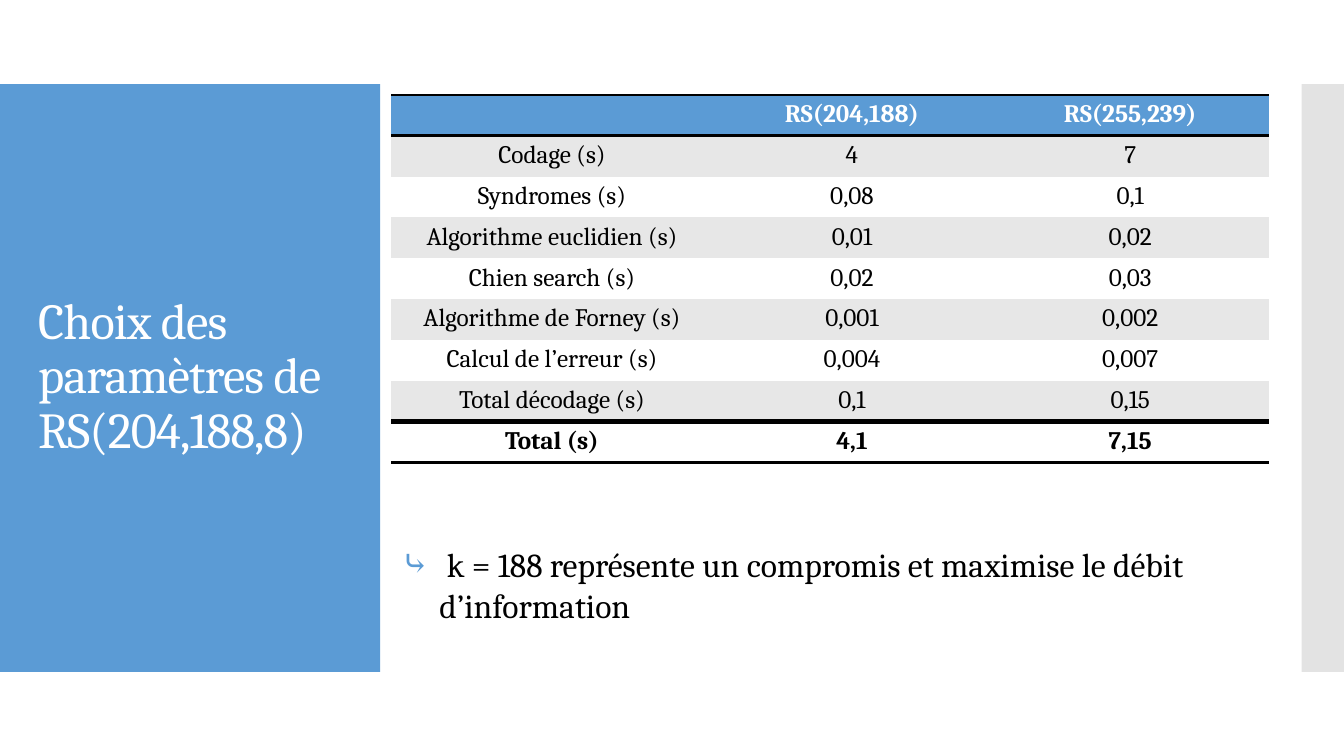
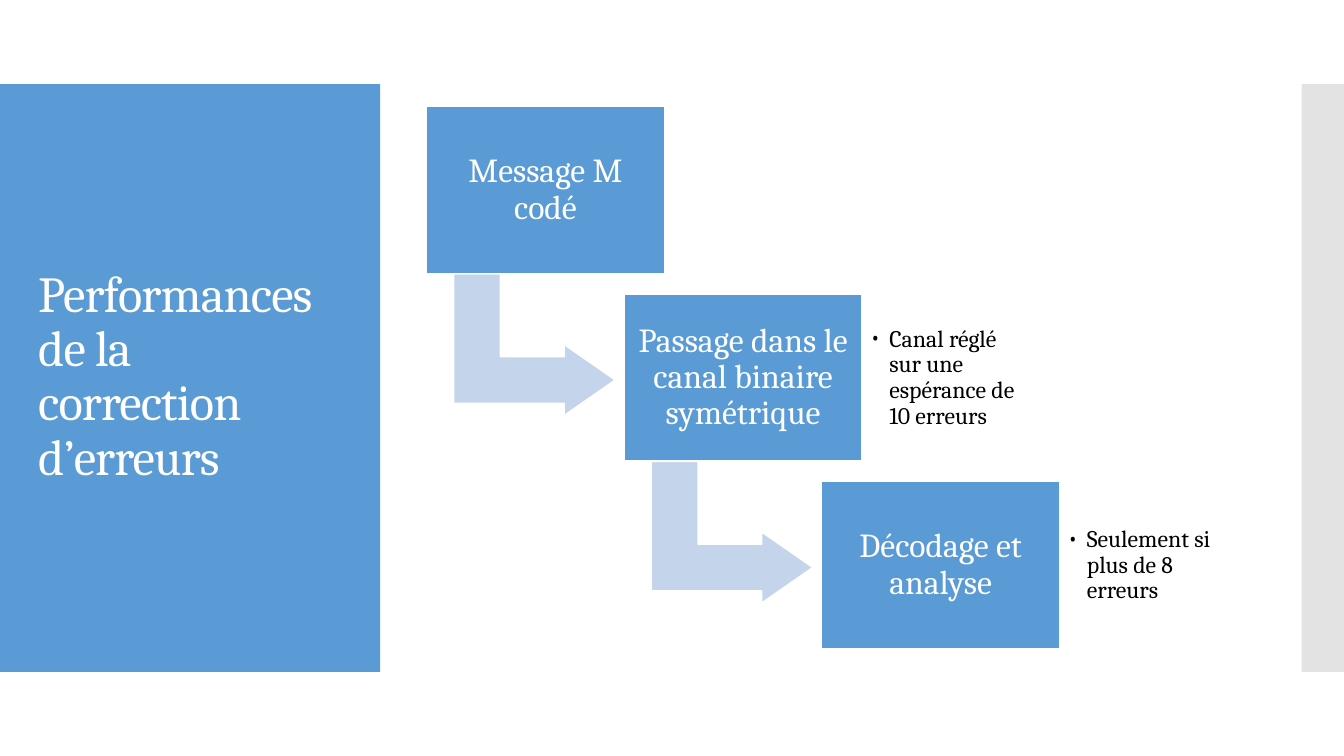
from dataclasses import dataclass
from lxml import etree
from pptx import Presentation
from pptx.dml.color import RGBColor
from pptx.enum.shapes import MSO_SHAPE
from pptx.enum.text import MSO_ANCHOR, PP_ALIGN
from pptx.oxml.ns import qn
from pptx.util import Inches, Pt

RECTANGLE = MSO_SHAPE.RECTANGLE
BENT_ARROW = MSO_SHAPE.BENT_UP_ARROW
MIDDLE, TOP = MSO_ANCHOR.MIDDLE, MSO_ANCHOR.TOP
LEFT, CENTER = PP_ALIGN.LEFT, PP_ALIGN.CENTER


@dataclass(frozen=True)
class Theme:
    font: str = "Cambria"
    blue: str = "5B9BD5"
    pale_blue: str = "C4D5EB"
    side_grey: str = "C8C8C8"
    row_grey: str = "E7E7E7"
    white: str = "FFFFFF"
    black: str = "000000"
    title_size: int = 36
    body_size: int = 24
    table_size: int = 18
    note_size: int = 17
    outline: float = 0.85


theme = Theme()
WIDTH, HEIGHT = 13.33, 7.5
BAND_TOP, BAND_HEIGHT = HEIGHT / 9, HEIGHT * 7 / 9
PANEL_WIDTH, SIDE_WIDTH = 3.77, 0.42
CONTENT_LEFT = 3.88


def add_block(slide, kind, box, color, outline=None):
    shape = slide.shapes.add_shape(kind, *map(Inches, box))
    shape.shadow.inherit = False
    shape.fill.solid()
    shape.fill.fore_color.rgb = RGBColor.from_string(color)
    if outline:
        shape.line.color.rgb = RGBColor.from_string(outline)
        shape.line.width = Pt(theme.outline)
    else:
        shape.line.fill.background()
    return shape


def write(holder, text, size, color, align=LEFT, anchor=None, spacing=1.0,
          margin=None, bullet=None, bullet_color=None, indent=0):
    frame = holder.text_frame
    frame.text = text
    if anchor is not None:
        frame.word_wrap = True
        frame.vertical_anchor = anchor
    if margin is not None:
        frame.margin_left = frame.margin_right = Inches(margin)
        frame.margin_top = frame.margin_bottom = Inches(margin)
    paragraph = frame.paragraphs[0]
    paragraph.alignment = align
    paragraph.line_spacing = spacing
    font = paragraph.runs[0].font if paragraph.runs else paragraph.font
    font.name, font.size = theme.font, Pt(size)
    font.color.rgb = RGBColor.from_string(color)
    if bullet:
        properties = paragraph._p.get_or_add_pPr()
        properties.set("marL", str(Inches(indent)))
        properties.set("indent", str(-Inches(indent)))
        marker_color = etree.SubElement(properties, qn("a:buClr"))
        etree.SubElement(marker_color, qn("a:srgbClr"), val=bullet_color or color)
        etree.SubElement(properties, qn("a:buFont"), typeface=theme.font)
        etree.SubElement(properties, qn("a:buChar"), char=bullet)
    return font


presentation = Presentation()
presentation.slide_width = Inches(WIDTH)
presentation.slide_height = Inches(HEIGHT)

titles = ["Choix des paramètres de RS(204,188,8)",
          "Performances de la correction d’erreurs"]
slides = []
for title in titles:
    slide = presentation.slides.add_slide(presentation.slide_layouts[6])
    add_block(slide, RECTANGLE, (0, BAND_TOP, PANEL_WIDTH, BAND_HEIGHT), theme.blue)
    side = add_block(slide, RECTANGLE,
                     (WIDTH - SIDE_WIDTH, BAND_TOP, SIDE_WIDTH, BAND_HEIGHT),
                     theme.side_grey)
    side_color = side._element.spPr.find(qn("a:solidFill"))[0]
    etree.SubElement(side_color, qn("a:alpha"), val="50000")
    title_box = slide.shapes.add_textbox(*map(Inches, (0.28, 1.23, 3.22, 5.03)))
    title_font = write(title_box, title, theme.title_size, theme.white,
                       anchor=MIDDLE, spacing=0.9)
    title_font._element.set("spc", "-60")
    slides.append(slide)
timing_slide, process_slide = slides

timings = [
    ("", "RS(204,188)", "RS(255,239)"),
    ("Codage (s)", "4", "7"),
    ("Syndromes (s)", "0,08", "0,1"),
    ("Algorithme euclidien (s)", "0,01", "0,02"),
    ("Chien search (s)", "0,02", "0,03"),
    ("Algorithme de Forney (s)", "0,001", "0,002"),
    ("Calcul de l’erreur (s)", "0,004", "0,007"),
    ("Total décodage (s)", "0,1", "0,15"),
    ("Total (s)", "4,1", "7,15"),
]
column_widths = [3.19, 2.76, 2.76]
table_height = 3.65
last_row = len(timings) - 1
row_borders = {0: {"a:lnT": 2, "a:lnB": 2}, last_row: {"a:lnT": 4, "a:lnB": 2}}
table_frame = timing_slide.shapes.add_table(
    len(timings), len(column_widths), Inches(CONTENT_LEFT), Inches(0.94),
    Inches(sum(column_widths)), Inches(table_height))
table = table_frame.table
table.first_row = table.horz_banding = False
style = next(table_frame._element.iter(qn("a:tableStyleId")))
style.text = "{2D5ABB26-0587-4C30-8999-92F81FD0307C}"
for column, width in zip(table.columns, column_widths):
    column.width = Inches(width)
for row_index, values in enumerate(timings):
    table.rows[row_index].height = Inches(table_height / len(timings))
    header = row_index == 0
    fill = theme.blue if header else theme.row_grey if row_index % 2 else theme.white
    for column_index, value in enumerate(values):
        cell = table.cell(row_index, column_index)
        font = write(cell, value, theme.table_size,
                     theme.white if header else theme.black, CENTER)
        font.bold = row_index in row_borders
        cell.fill.solid()
        cell.fill.fore_color.rgb = RGBColor.from_string(fill)
        borders = row_borders.get(row_index, {})
        for position, (edge, points) in enumerate(borders.items()):
            line = etree.Element(qn(edge), w=str(Pt(points)))
            line_fill = etree.SubElement(line, qn("a:solidFill"))
            etree.SubElement(line_fill, qn("a:srgbClr"), val=theme.black)
            cell._tc.get_or_add_tcPr().insert(position, line)

conclusion = timing_slide.shapes.add_textbox(
    *map(Inches, (CONTENT_LEFT, 5.35, 9.57, 0.91)))
write(conclusion, " k = 188 représente un compromis et maximise le débit d’information",
      theme.body_size, theme.black, anchor=TOP,
      bullet="⤷", bullet_color=theme.blue, indent=0.38)

steps = [
    ("Message M codé", None),
    ("Passage dans le canal binaire symétrique",
     "Canal réglé sur une espérance de 10 erreurs"),
    ("Décodage et analyse", "Seulement si plus de 8 erreurs"),
]
step_width, step_height = 2.36, 1.65
for index, (label, note) in enumerate(steps):
    left, top = 4.23 + 1.96 * index, 1.06 + 1.86 * index
    if index < len(steps) - 1:
        arrow = add_block(process_slide, BENT_ARROW, (left + 0.37, top + 1.56, 1.4, 1.6),
                          theme.pale_blue, theme.white)
        arrow.rotation = 90
        for position, adjustment in enumerate((0.33, 0.25, 0.36)):
            arrow.adjustments[position] = adjustment
    step = add_block(process_slide, RECTANGLE, (left, top, step_width, step_height),
                     theme.blue, theme.white)
    write(step, label, theme.body_size, theme.white, CENTER, MIDDLE, 0.9, margin=0.1)
    if note:
        note_box = process_slide.shapes.add_textbox(
            *map(Inches, (left + step_width, top + 0.16, 1.72, 1.34)))
        write(note_box, note, theme.note_size, theme.black, anchor=MIDDLE,
              spacing=0.9, margin=0.08, bullet="•", indent=0.19)

presentation.save("out.pptx")
